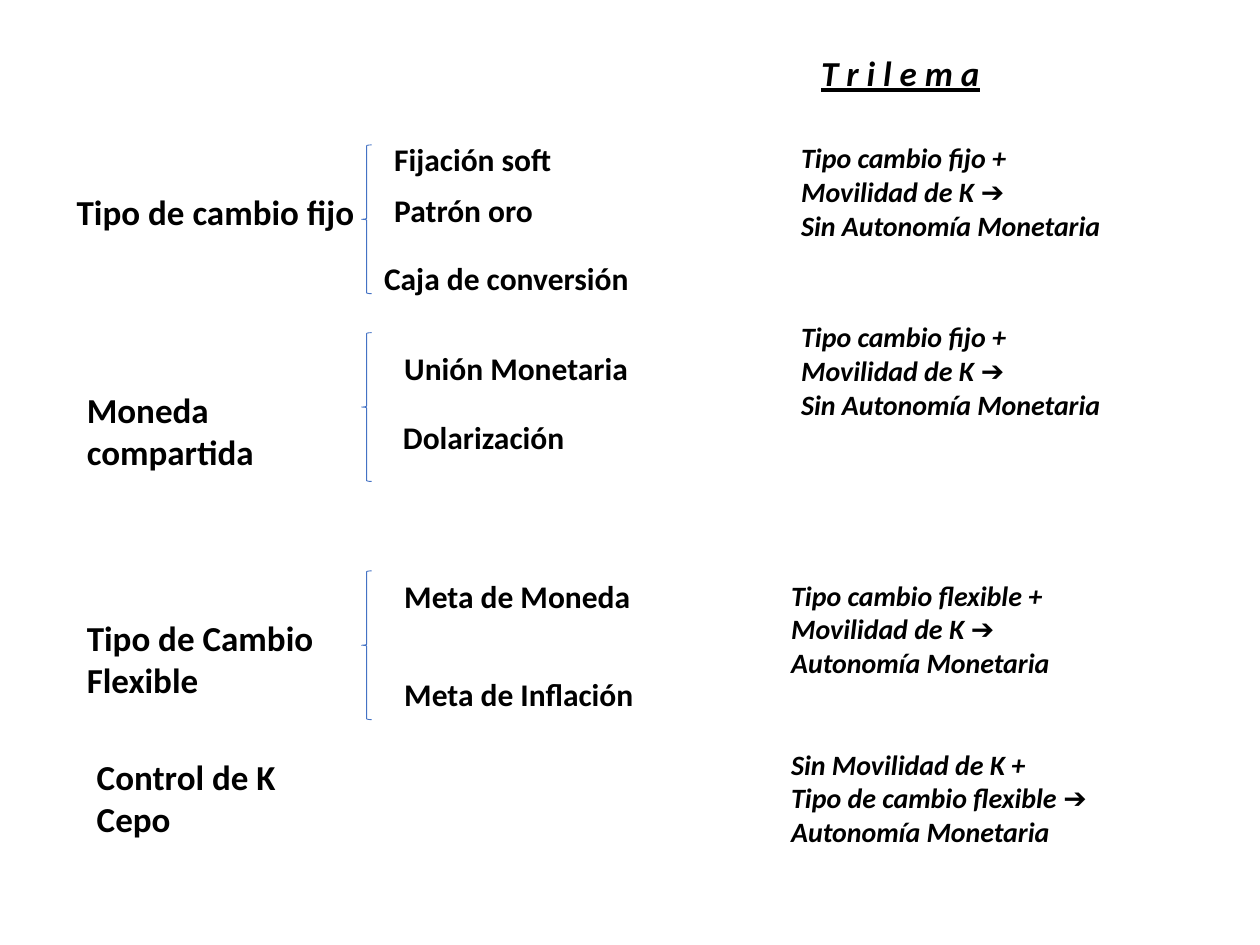
import pptx
import pptx.util
import pptx.dml.color
import pptx.enum.shapes
import pptx.enum.text

Pt = pptx.util.Pt
BLACK = pptx.dml.color.RGBColor(0x00, 0x00, 0x00)
BLUE = pptx.dml.color.RGBColor(0x44, 0x72, 0xC4)

# Content: (left, top, width, paragraphs), in points
TITLE = (462.2, 25.9, 181.5, ["T r i l e m a"])
REGIMES = [
    (36.7, 105.1, 181.5, ["Tipo de cambio fijo"]),
    (42.5, 218.2, 181.5, ["Moneda compartida"]),
    (42.5, 348.5, 181.5, ["Tipo de Cambio Flexible"]),
    (48.2, 428.4, 181.5, ["Control de K", "Cepo"]),
]
VARIANTS = [
    (218.2, 76.3, 136, ["Fijación soft"]),
    (218.2, 105.8, 136, ["Patrón oro"]),
    (212.4, 144.7, 164, ["Caja de conversión"]),
    (223.9, 195.8, 170, ["Unión Monetaria"]),
    (223.2, 235.4, 136, ["Dolarización"]),
    (223.9, 326.2, 147.6, ["Meta de Moneda"]),
    (223.9, 382.3, 147.6, ["Meta de Inflación"]),
]
FIXED_RATE = ["Tipo cambio fijo + Movilidad de K ➔", "Sin Autonomía Monetaria"]
TRILEMMAS = [
    (450.7, 77, 193, FIXED_RATE),
    (450.7, 179.3, 193, FIXED_RATE),
    (445, 326.9, 193,
     ["Tipo cambio flexible + Movilidad de K ➔", "Autonomía Monetaria"]),
    (445, 423.4, 193,
     ["Sin Movilidad de K +", "Tipo de cambio flexible ➔", "Autonomía Monetaria"]),
]
BRACE_TOPS = [82.8, 190.1, 326.2]
BRACE_LEFT, BRACE_WIDTH, BRACE_HEIGHT = 206.6, 5.8, 85

LINE_SPACING = 1.2
INSETS = 7.2  # top and bottom margins together

presentation = pptx.Presentation()
presentation.slide_width, presentation.slide_height = Pt(720), Pt(540)
slide = presentation.slides.add_slide(presentation.slide_layouts[6])


def add_text(paragraphs, left, top, width, size, lines=1, italic=False, underline=False):
    height = lines * size * LINE_SPACING + INSETS
    box = slide.shapes.add_textbox(Pt(left), Pt(top), Pt(width), Pt(height))
    frame = box.text_frame
    frame.word_wrap = True
    frame.auto_size = pptx.enum.text.MSO_AUTO_SIZE.SHAPE_TO_FIT_TEXT
    for index, text in enumerate(paragraphs):
        paragraph = frame.paragraphs[0] if index == 0 else frame.add_paragraph()
        run = paragraph.add_run()
        run.text = text
        run.font.name = "Calibri"
        run.font.size = Pt(size)
        run.font.bold = True
        run.font.italic = italic
        run.font.underline = underline
        run.font.color.rgb = BLACK


# Heading of the right column
left, top, width, paragraphs = TITLE
add_text(paragraphs, left, top, width, 20, italic=True, underline=True)

# Regimes, their variants and the trilemma outcomes
for index, (left, top, width, paragraphs) in enumerate(REGIMES):
    add_text(paragraphs, left, top, width, 20, lines=1 if index == 0 else 2)
for left, top, width, paragraphs in VARIANTS:
    add_text(paragraphs, left, top, width, 18)
for left, top, width, paragraphs in TRILEMMAS:
    add_text(paragraphs, left, top, width, 16, lines=3, italic=True)

# Braces joining each regime to its variants
for top in BRACE_TOPS:
    brace = slide.shapes.add_shape(
        pptx.enum.shapes.MSO_SHAPE.LEFT_BRACE,
        Pt(BRACE_LEFT), Pt(top), Pt(BRACE_WIDTH), Pt(BRACE_HEIGHT))
    brace.shadow.inherit = False
    brace.fill.background()
    brace.line.color.rgb = BLUE
    brace.line.width = Pt(0.5)

presentation.save("out.pptx")
